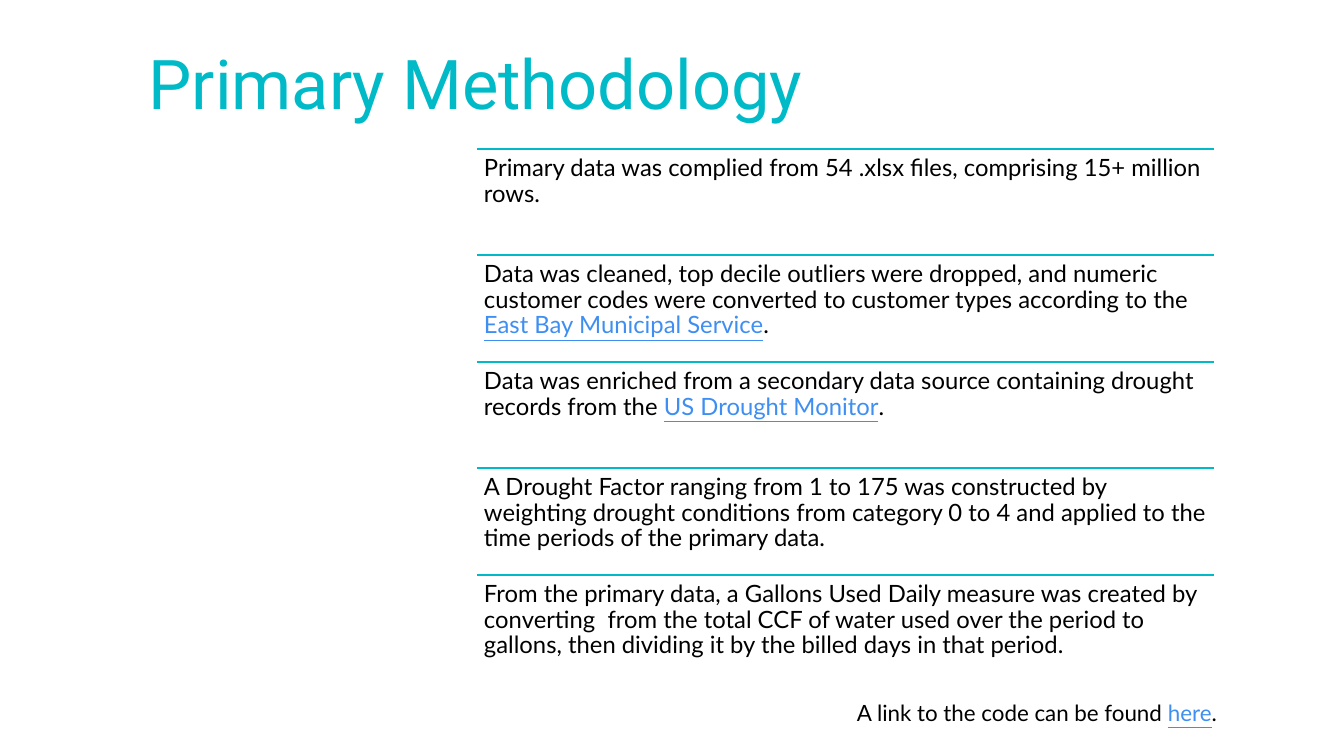
from lxml import etree
from pptx import Presentation
from pptx import util as u
from pptx.dml.color import RGBColor
from pptx.enum import shapes, text
from pptx.oxml.ns import qn

EMU_PER_PX = 914400 / 100.8

TEAL, BLACK, LINK_BLUE = "00BAC8", "000000", "3E8FF1"

# Each step is a list of (wording, is_link) runs.
STEPS = [
    [("Primary data was complied from 54 .xlsx files, comprising 15+ million rows.", False)],
    [("Data was cleaned, top decile outliers were dropped, and numeric customer codes "
      "were converted to customer types according to the ", False),
     ("East Bay Municipal Service", True), (".", False)],
    [("Data was enriched from a secondary data source containing drought records from the ", False),
     ("US Drought Monitor", True), (".", False)],
    [("A Drought Factor ranging from 1 to 175 was constructed by weighting drought conditions "
      "from category 0 to 4 and applied to the time periods of the primary data.", False)],
    [("From the primary data, a Gallons Used Daily measure was created by converting  from the "
      "total CCF of water used over the period to gallons, then dividing it by the billed days "
      "in that period.", False)],
]
CODE_NOTE = [("A link to the code can be found ", False), ("here", True), (".", False)]

STEP_LEFT, STEP_WIDTH, STEP_HEIGHT = 477, 737, 106
FIRST_RULE, LAST_RULE = 149, 575


def px(length):
    return u.Emu(round(length * EMU_PER_PX))


def color(hex_string):
    return RGBColor.from_string(hex_string)


class SlideBuilder:
    def __init__(self, slide, body_font="Lato", title_font="Roboto"):
        self.slide = slide
        self.body_font = body_font
        self.title_font = title_font

    def text_box(self, left, top, width, height, insets=(10, 5), line_spacing=1.0):
        """Add an empty wrapped box and return its text frame; insets are (sides, top and bottom)."""
        shape = self.slide.shapes.add_textbox(px(left), px(top), px(width), px(height))
        frame = shape.text_frame
        frame.word_wrap = True
        frame.margin_left = frame.margin_right = px(insets[0])
        frame.margin_top = frame.margin_bottom = px(insets[1])
        frame.paragraphs[0].line_spacing = line_spacing
        return frame

    def run(self, paragraph, wording, font_name, size, hex_string, underline=False):
        run = paragraph.add_run()
        run.text = wording
        run.font.name = font_name
        run.font.size = u.Pt(size)
        run.font.color.rgb = color(hex_string)
        run.font.underline = underline

    def title(self, wording, left, top, width, height):
        frame = self.text_box(left, top, width, height, line_spacing=0.9)
        frame.vertical_anchor = text.MSO_ANCHOR.BOTTOM
        paragraph = frame.paragraphs[0]
        paragraph.alignment = text.PP_ALIGN.CENTER
        self.run(paragraph, wording, self.title_font, 49, TEAL)

    def body(self, runs, left, top, width, height, size, **layout):
        frame = self.text_box(left, top, width, height, **layout)
        for wording, is_link in runs:
            self.run(frame.paragraphs[0], wording, self.body_font, size,
                     LINK_BLUE if is_link else BLACK, is_link)

    def rule(self, left, top, width):
        connector = self.slide.shapes.add_connector(
            shapes.MSO_CONNECTOR.STRAIGHT, px(left), px(top), px(left + width), px(top))
        connector.line.color.rgb = color(TEAL)
        connector.line.width = u.Pt(1)
        etree.SubElement(connector._element.spPr, qn("a:effectLst"))


def main():
    presentation = Presentation()
    presentation.slide_width = px(1344)
    presentation.slide_height = px(756)
    builder = SlideBuilder(presentation.slides.add_slide(presentation.slide_layouts[6]))

    builder.title("Primary Methodology", 93, 40, 765, 89)
    for index, runs in enumerate(STEPS):
        top = FIRST_RULE + (LAST_RULE - FIRST_RULE) * index // (len(STEPS) - 1)
        builder.rule(STEP_LEFT, top, STEP_WIDTH)
        builder.body(runs, STEP_LEFT, top, STEP_WIDTH, STEP_HEIGHT, 17,
                     insets=(7, 7), line_spacing=0.9)
    builder.body(CODE_NOTE, 847, 694, 402, 37, 16)

    presentation.save("out.pptx")


if __name__ == "__main__":
    main()
